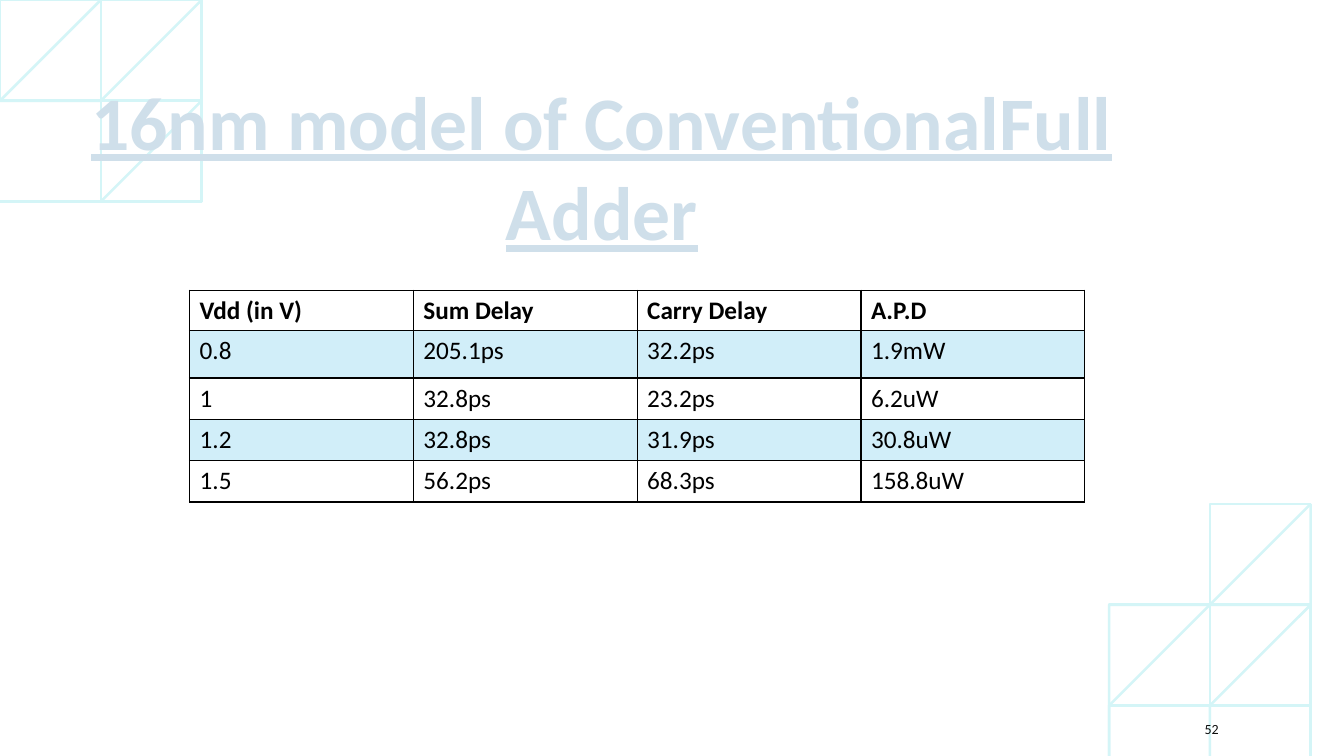
"""Build the 16nm full adder results slide."""
from math import asin, cos, pi, sin

from lxml.etree import SubElement
from pptx import Presentation
from pptx.dml.color import RGBColor
from pptx.enum.text import MSO_ANCHOR, PP_ALIGN
from pptx.oxml.ns import qn
from pptx.util import Inches, Pt


def color(hex_text):
    return RGBColor.from_string(hex_text)


def add_text(text, left, top, width, height, size, hex_text):
    box = page.shapes.add_textbox(Inches(left), Inches(top), Inches(width), Inches(height))
    box.text_frame.word_wrap = True
    box.text_frame.text = text
    span = box.text_frame.paragraphs[0].runs[0]
    span.font.name = "Calibri"
    span.font.size = Pt(size)
    span.font.color.rgb = color(hex_text)
    return box


deck = Presentation()
deck.slide_width = Inches(13.33)
deck.slide_height = Inches(7.5)
page = deck.slides.add_slide(deck.slide_layouts[6])

RING_COUNT = 17
RING_STEP = 0.134
CENTER_OFFSET = 0.16
for corner_x, corner_y, direction in [(0, 0, 1), (13.33, 7.5, -1)]:
    builder = None
    for ring in range(RING_COUNT):
        radius = 2.45 - RING_STEP * ring
        start = asin(CENTER_OFFSET / radius)
        steps = max(4, round(5 * radius))
        points = []
        for step in range(steps + 1):
            angle = start + (pi / 2 - start) * step / steps
            x = corner_x + direction * radius * cos(angle)
            y = corner_y + direction * (radius * sin(angle) - CENTER_OFFSET)
            points.append((x, y))
        if builder is None:
            builder = page.shapes.build_freeform(*points[0], scale=Inches(1))
        else:
            builder.move_to(*points[0])
        builder.add_line_segments(points[1:], close=False)
    rings = builder.convert_to_shape()
    rings.shadow.inherit = False
    rings.fill.background()
    rings.line.color.rgb = color("D4F5F7")
    rings.line.width = Pt(1.8)

title = add_text("16nm model of ConventionalFull Adder", 0.77, 0.69, 10.4, 1.92, 54, "CFDFEA")
title_paragraph = title.text_frame.paragraphs[0]
title_paragraph.alignment = PP_ALIGN.CENTER
title_paragraph.runs[0].font.bold = True
title_paragraph.runs[0].font.underline = True

page_number = add_text("52", 11.85, 7.08, 1.06, 0.3, 10, "0D0D0D")
page_number.text_frame.vertical_anchor = MSO_ANCHOR.MIDDLE

results = [
    ["Vdd (in V)", "Sum Delay", "Carry Delay", "A.P.D"],
    ["0.8", "205.1ps", "32.2ps", "1.9mW"],
    ["1", "32.8ps", "23.2ps", "6.2uW"],
    ["1.2", "32.8ps", "31.9ps", "30.8uW"],
    ["1.5", "56.2ps", "68.3ps", "158.8uW"],
]
row_heights = [0.4, 0.47, 0.41, 0.41, 0.41]
table = page.shapes.add_table(
    len(results), len(results[0]), Inches(1.88), Inches(2.88), Inches(8.89), Inches(2.1)
).table
table.first_row = False
table.horz_banding = False
for column in table.columns:
    column.width = Inches(2.22)
for row_index, values in enumerate(results):
    table.rows[row_index].height = Inches(row_heights[row_index])
    for column_index, value in enumerate(values):
        cell = table.cell(row_index, column_index)
        cell.text_frame.text = value
        font = cell.text_frame.paragraphs[0].runs[0].font
        font.name = "Calibri"
        font.size = Pt(18)
        font.bold = row_index == 0
        font.color.rgb = color("000000")
        properties = cell._tc.get_or_add_tcPr()
        for side in ["a:lnL", "a:lnR", "a:lnT", "a:lnB"]:
            border = SubElement(properties, qn(side), w=str(Pt(1)))
            border_fill = SubElement(border, qn("a:solidFill"))
            SubElement(border_fill, qn("a:srgbClr"), val="000000")
        if row_index % 2:
            cell.fill.solid()
            cell.fill.fore_color.rgb = color("1CADE4")
            tint = properties.find(qn("a:solidFill")).find(qn("a:srgbClr"))
            SubElement(tint, qn("a:alpha"), val="20000")
        else:
            cell.fill.background()

deck.save("out.pptx")
